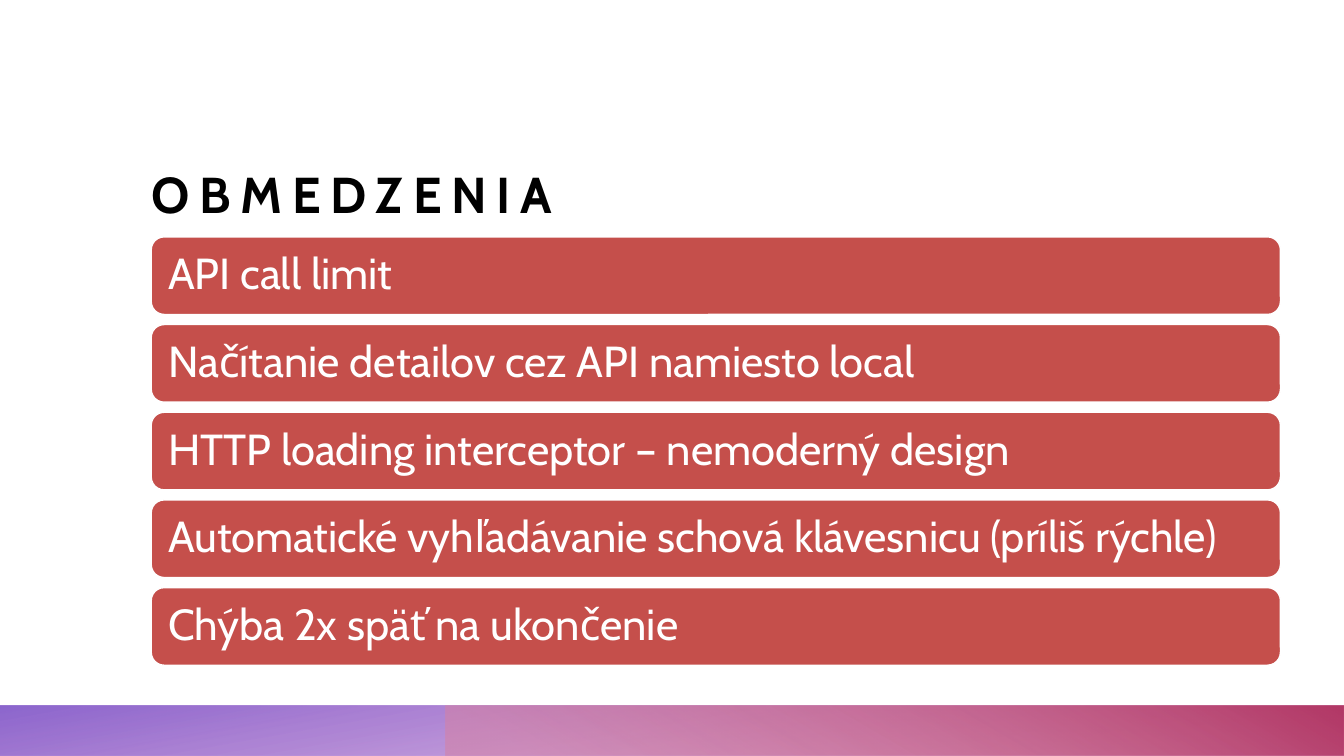
from dataclasses import dataclass

from lxml import etree
from pptx import Presentation
from pptx.dml.color import RGBColor
from pptx.enum.shapes import MSO_SHAPE
from pptx.enum.text import MSO_ANCHOR, MSO_AUTO_SIZE, PP_ALIGN
from pptx.oxml import parse_xml
from pptx.util import Inches, Pt


@dataclass(frozen=True)
class Theme:
    font: str = "Cabin"
    ink: str = "000000"
    paper: str = "FFFFFF"
    card: str = "C54F4B"
    title_size: int = 36
    card_size: int = 31
    # Gradient stops: position %, colour, opacity %
    purple: tuple = ((14, "9939B3", 28), (100, "784BC5", 85))
    pink: tuple = ((9, "D782A2", 55), (99, "B33967", 100))


theme = Theme()
NS = "http://schemas.openxmlformats.org/drawingml/2006/main"
WIDTH, HEIGHT = 13.33, 7.5
LEFT, CONTENT_WIDTH = 1.5, 11.2
FIRST_ROW, ROW_STEP, ROW_HEIGHT = 2.35, 0.87, 0.77


def gradient_fill(stops, angle):
    """Build a linear gradient with transparent stops."""
    grad = etree.Element(f"{{{NS}}}gradFill", nsmap={"a": NS})
    gs_lst = etree.SubElement(grad, f"{{{NS}}}gsLst")
    for pos, color, opacity in stops:
        gs = etree.SubElement(gs_lst, f"{{{NS}}}gs", pos=str(pos * 1000))
        clr = etree.SubElement(gs, f"{{{NS}}}srgbClr", val=color)
        etree.SubElement(clr, f"{{{NS}}}alpha", val=str(opacity * 1000))
    etree.SubElement(grad, f"{{{NS}}}lin", ang=str(angle * 60000), scaled="0")
    return parse_xml(etree.tostring(grad))


def set_text(tf, text, frame, font, color):
    """Write one left-aligned line with the given frame and font formats."""
    for name, value in frame.items():
        setattr(tf, name, value)
    p = tf.paragraphs[0]
    p.alignment = PP_ALIGN.LEFT
    p.line_spacing = 0.9
    r = p.add_run()
    r.text = text
    for name, value in font.items():
        setattr(r.font, name, value)
    r.font.color.rgb = RGBColor.from_string(color)
    return r


prs = Presentation()
prs.slide_width, prs.slide_height = Inches(WIDTH), Inches(HEIGHT)
s = prs.slides.add_slide(prs.slide_layouts[5])

# Footer bands: the pink one covers the right two thirds
band_height = HEIGHT / 15
for share, stops, angle, rotation in (
    (0, theme.purple, 100, 180),
    (0.3315, theme.pink, 240, 0),
):
    sp = s.shapes.add_shape(
        MSO_SHAPE.RECTANGLE,
        Inches(WIDTH * share), Inches(HEIGHT - band_height),
        Inches(WIDTH * (1 - share)), Inches(band_height),
    )
    sp.shadow.inherit = False
    sp.line.fill.background()
    sp.rotation = rotation
    spPr = sp.element.spPr
    spPr.xfrm.set("flipH", "1")
    spPr.find(f"{{{NS}}}prstGeom").addnext(gradient_fill(stops, angle))

# Title
title = s.shapes.title
title.left, title.top = Inches(LEFT), Inches(0.87)
title.width, title.height = Inches(CONTENT_WIDTH), Inches(1.35)
r = set_text(
    title.text_frame, "OBMEDZENIA",
    dict(vertical_anchor=MSO_ANCHOR.BOTTOM, word_wrap=True,
         auto_size=MSO_AUTO_SIZE.NONE, margin_left=0, margin_right=0,
         margin_top=0, margin_bottom=0),
    dict(name=theme.font, size=Pt(theme.title_size), bold=True),
    theme.ink,
)
r.font._element.set("spc", "700")
title.text_frame.paragraphs[0].line_spacing = 1.0

# Limitation cards
limitations = (
    "API call limit",
    "Načítanie detailov cez API namiesto local",
    "HTTP loading interceptor – nemoderný design",
    "Automatické vyhľadávanie schová klávesnicu (príliš rýchle)",
    "Chýba 2x späť na ukončenie",
)
for row, text in enumerate(limitations):
    sp = s.shapes.add_shape(
        MSO_SHAPE.ROUNDED_RECTANGLE,
        Inches(LEFT), Inches(FIRST_ROW + row * ROW_STEP),
        Inches(CONTENT_WIDTH), Inches(ROW_HEIGHT),
    )
    sp.shadow.inherit = False
    sp.fill.solid()
    sp.fill.fore_color.rgb = RGBColor.from_string(theme.card)
    sp.line.color.rgb = RGBColor.from_string(theme.paper)
    sp.line.width = Pt(1)
    set_text(
        sp.text_frame, text,
        dict(vertical_anchor=MSO_ANCHOR.MIDDLE, word_wrap=True,
             margin_left=Inches(0.13), margin_right=Inches(0.13),
             margin_top=0, margin_bottom=0),
        dict(name=theme.font, size=Pt(theme.card_size)),
        theme.paper,
    )

prs.save("out.pptx")
